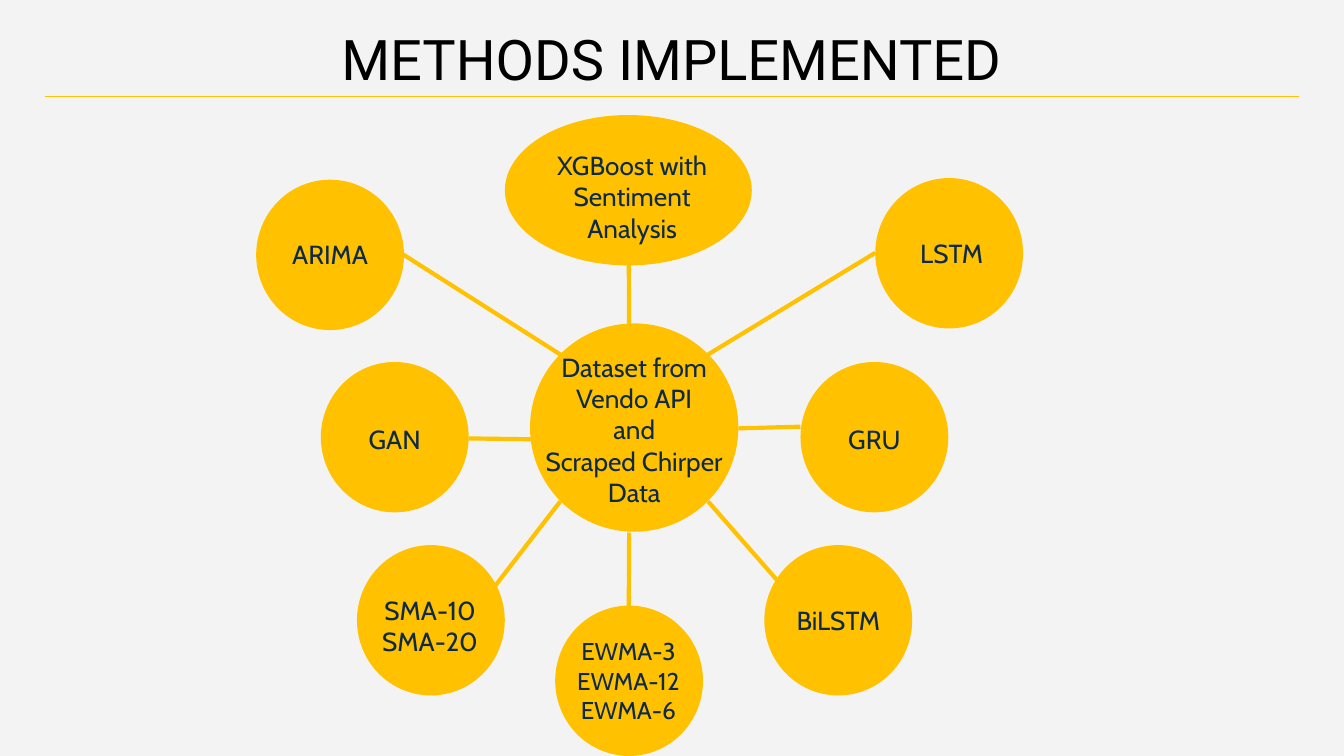
from lxml.etree import SubElement
from pptx import Presentation
from pptx.dml.color import RGBColor
from pptx.enum.shapes import MSO_CONNECTOR, MSO_SHAPE
from pptx.enum.text import MSO_ANCHOR, PP_ALIGN
from pptx.oxml.ns import qn
from pptx.util import Emu, Pt

PX = 5715  # EMU per px, 160 px to the inch
PAGE_SIZE = 1600, 900
MARGIN = 16
PAPER, YELLOW, NAVY, BLACK = "F3F3F3", "FFC100", "0E2A47", "000000"

TITLE = "METHODS IMPLEMENTED"
TITLE_BOX = 54, 19, 1491, 106
RULE = 54, 115, 1546, 115
CIRCLE = 176, 179

# paragraphs, ellipse left/top, ellipse size, label left/top/width/height, points
NODES = [
    (["Dataset from Vendo API", "and", "Scraped Chirper Data"],
     (631, 385), (248, 248), (631, 402, 248, 221), 14),
    (["XGBoost with Sentiment Analysis"],
     (601, 137), (294, 179), (611, 162, 283, 146), 14),
    (["ARIMA"], (305, 214), CIRCLE, (305, 268, 176, 70), 14),
    (["LSTM"], (1042, 212), CIRCLE, (1062, 267, 142, 70), 14),
    (["GAN"], (382, 431), CIRCLE, (382, 488, 176, 70), 14),
    (["GRU"], (953, 431), CIRCLE, (953, 488, 176, 70), 14),
    (["SMA-10", "SMA-20"], (425, 649), CIRCLE, (388, 691, 248, 107), 14),
    (["BiLSTM"], (910, 649), CIRCLE, (874, 704, 248, 70), 14),
    (["EWMA-3", "EWMA-12", "EWMA-6"],
     (661, 721), CIRCLE, (624, 742, 248, 138), 13),
]

# x and y at the hub, then at the method
SPOKES = [
    (749, 394, 748, 210),
    (667, 422, 480, 303),
    (843, 422, 1042, 301),
    (633, 523, 558, 522),
    (879, 510, 953, 508),
    (667, 597, 512, 798),
    (843, 597, 998, 774),
    (749, 634, 748, 818),
]


def scaled(lengths):
    return [Emu(length * PX) for length in lengths]


def color(hex_text):
    return RGBColor.from_string(hex_text)


def add_line(page, ends, points):
    line = page.shapes.add_connector(MSO_CONNECTOR.STRAIGHT, *scaled(ends))
    line.line.color.rgb = color(YELLOW)
    line.line.width = Pt(points)
    SubElement(line._element.spPr, qn("a:effectLst"))


def add_ellipse(page, corner, size):
    ellipse = page.shapes.add_shape(MSO_SHAPE.OVAL, *scaled(corner + size))
    ellipse.shadow.inherit = False
    ellipse.fill.solid()
    ellipse.fill.fore_color.rgb = color(YELLOW)
    ellipse.line.fill.background()


def add_text(page, bounds, lines, font, points, hex_text, anchor=MSO_ANCHOR.TOP):
    frame = page.shapes.add_textbox(*scaled(bounds)).text_frame
    frame.word_wrap = True
    frame.vertical_anchor = anchor
    frame.margin_left = frame.margin_right = Emu(MARGIN * PX)
    frame.margin_top = frame.margin_bottom = Emu(MARGIN * PX)
    frame.text = "\n".join(lines)
    for paragraph in frame.paragraphs:
        paragraph.alignment = PP_ALIGN.CENTER
        paragraph.font.name = font
        paragraph.font.size = Pt(points)
        paragraph.font.color.rgb = color(hex_text)


def main():
    deck = Presentation()
    deck.slide_width, deck.slide_height = scaled(PAGE_SIZE)
    page = deck.slides.add_slide(deck.slide_layouts[6])
    page.background.fill.solid()
    page.background.fill.fore_color.rgb = color(PAPER)

    add_text(page, TITLE_BOX, [TITLE], "Roboto", 30, BLACK, MSO_ANCHOR.BOTTOM)
    add_line(page, RULE, 0.75)
    for ends in SPOKES:
        add_line(page, ends, 2.25)
    for lines, corner, size, label, points in NODES:
        add_ellipse(page, corner, size)
        add_text(page, label, lines, "Cabin", points, NAVY)

    deck.save("out.pptx")


if __name__ == "__main__":
    main()
